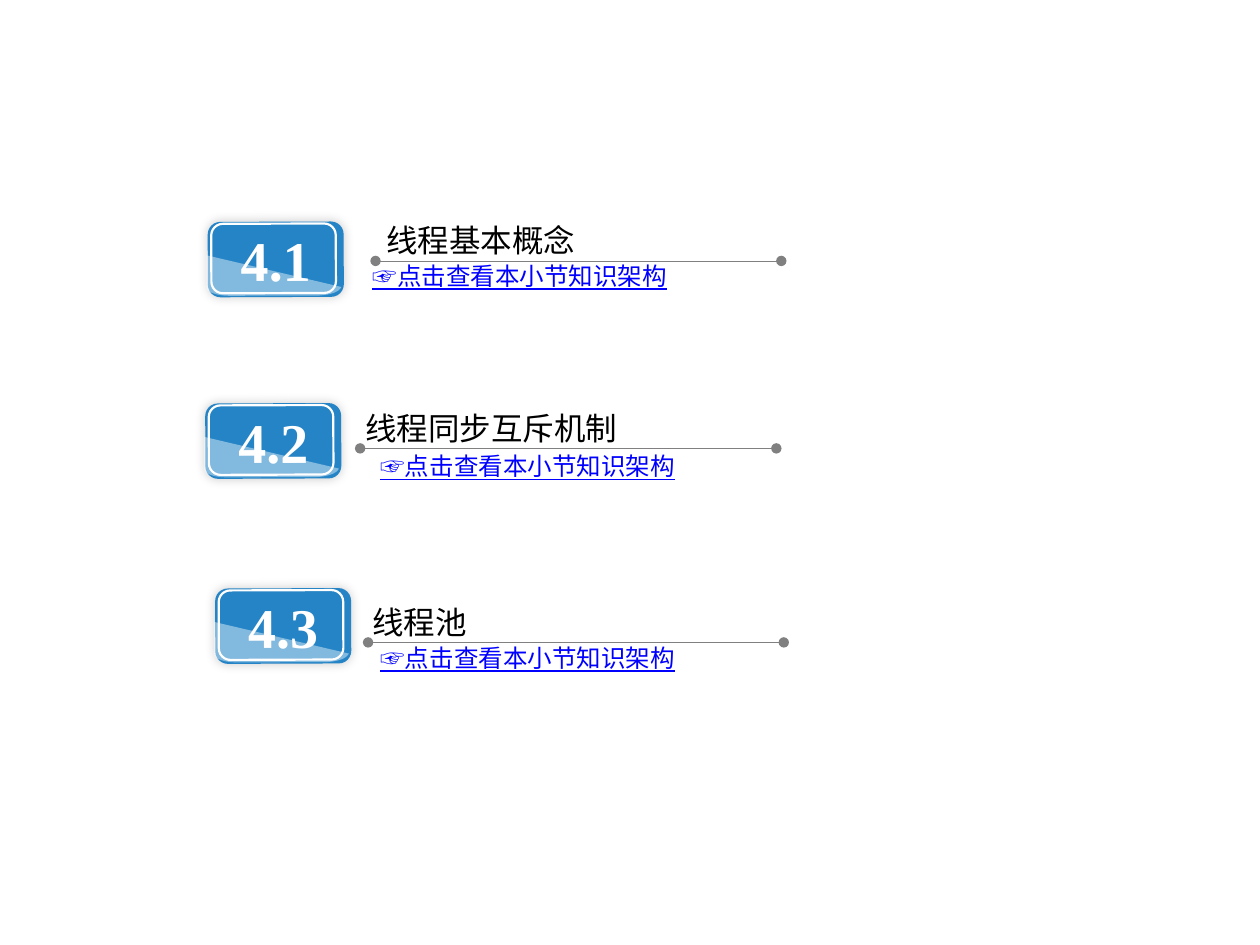
from pptx import Presentation
from pptx.dml.color import RGBColor
from pptx.enum.dml import MSO_LINE
from pptx.enum.shapes import MSO_CONNECTOR, MSO_SHAPE
from pptx.enum.text import MSO_ANCHOR, MSO_AUTO_SIZE, PP_ALIGN
from pptx.oxml import parse_xml
from pptx.oxml.ns import nsdecls, qn
from pptx.util import Cm, Pt

ROUND_RECT = MSO_SHAPE.ROUNDED_RECTANGLE
STRAIGHT = MSO_CONNECTOR.STRAIGHT
DOTTED = MSO_LINE.ROUND_DOT
MIDDLE = MSO_ANCHOR.MIDDLE
CENTER, LEFT = PP_ALIGN.CENTER, PP_ALIGN.LEFT
FIT_SHAPE = MSO_AUTO_SIZE.SHAPE_TO_FIT_TEXT

COLORS = {"tile": "2484C6", "white": "FFFFFF", "rule": "808080",
          "text": "000000", "link": "0000FF"}
CJK, SERIF = "Noto Sans CJK SC", "Times New Roman"
LINK_TEXT = "☞点击查看本小节知识架构"

# Positions in cm: tile, heading and link as (left, top), rule as (left, right, y)
SECTIONS = [
    {"number": "4.1", "title": "线程基本概念", "tile": (4.19, 4.47),
     "heading": (7.54, 4.34), "rule": (7.57, 15.75, 5.26), "link": (7.26, 5.13)},
    {"number": "4.2", "title": "线程同步互斥机制", "tile": (4.14, 8.13),
     "heading": (7.11, 8.13), "rule": (7.26, 15.65, 9.04), "link": (7.42, 8.97)},
    {"number": "4.3", "title": "线程池", "tile": (4.34, 11.86),
     "heading": (7.26, 12.04), "rule": (7.42, 15.8, 12.95), "link": (7.42, 12.83)},
]
TILE_W, TILE_H, TILT = 2.74, 1.52, -0.2
GLOSS_CURVES = [  # rounded bottom corners of the gloss, as Bezier points
    [(2.72, 0.65), (2.69, 0.74), (2.51, 0.81), (2.28, 0.82)],
    [(0.46, 0.82), (0.2, 0.82), (0, 0.74), (0, 0.64)],
]


def rgb(name):
    return RGBColor.from_string(COLORS[name])


def write(tf, text, size, font, color, bold=None, underline=None, align=LEFT):
    p = tf.paragraphs[0]
    p.alignment = align
    r = p.add_run()
    r.text = text
    f = r.font
    f.size, f.name, f.bold, f.underline = Pt(size), font, bold, underline
    f.color.rgb = rgb(color)
    f._element.find(qn("a:latin")).addnext(
        parse_xml(f'<a:ea {nsdecls("a")} typeface="{font}"/>'))


def add_text(s, pos, width, height, text, wrap, **fmt):
    tf = s.shapes.add_textbox(*map(Cm, (*pos, width, height))).text_frame
    tf.word_wrap = wrap
    tf.auto_size = FIT_SHAPE
    write(tf, text, font=CJK, **fmt)


def add_rounded(s, x, y, w, h):
    sp = s.shapes.add_shape(ROUND_RECT, Cm(x), Cm(y), Cm(w), Cm(h))
    sp.rotation = TILT
    sp.shadow.inherit = False
    return sp


def bezier(points, steps=8):
    for i in range(steps + 1):
        t = i / steps
        weights = ((1 - t) ** 3, 3 * t * (1 - t) ** 2, 3 * t * t * (1 - t), t ** 3)
        yield tuple(sum(w * p[axis] for w, p in zip(weights, points))
                    for axis in (0, 1))


def add_tile(s, x, y, number):
    # Blue tile with a soft shadow
    sp = add_rounded(s, x, y, TILE_W, TILE_H)
    sp.fill.solid()
    sp.fill.fore_color.rgb = rgb("tile")
    sp.line.fill.background()
    sp._element.spPr.find(qn("a:effectLst")).append(parse_xml(
        f'<a:outerShdw {nsdecls("a")} blurRad="76200" dist="0" dir="13500000">'
        '<a:srgbClr val="000000"><a:alpha val="20000"/></a:srgbClr></a:outerShdw>'))
    tf = sp.text_frame
    tf.vertical_anchor = MIDDLE
    write(tf, number, 32, SERIF, "white", bold=True, align=CENTER)

    # White inner outline
    sp = add_rounded(s, x + 0.07, y + 0.04, 2.51, 1.4)
    sp.fill.background()
    sp.line.color.rgb = rgb("white")
    sp.line.width = Pt(1.25)

    # Translucent gloss
    points = [(Cm(px), Cm(py)) for curve in GLOSS_CURVES for px, py in bezier(curve)]
    builder = s.shapes.build_freeform(0, 0)
    builder.add_line_segments(points, close=True)
    sp = builder.convert_to_shape(Cm(x - 0.03), Cm(y + 0.67))
    sp.rotation = TILT
    sp.shadow.inherit = False
    sp.line.fill.background()
    sp.fill.solid()
    sp.fill.fore_color.rgb = rgb("white")
    sp._element.spPr.find(".//" + qn("a:srgbClr")).append(
        parse_xml(f'<a:alpha {nsdecls("a")} val="43000"/>'))


def add_rule(s, left, right, y):
    cn = s.shapes.add_connector(STRAIGHT, Cm(left), Cm(y), Cm(right), Cm(y))
    cn.line.color.rgb = rgb("rule")
    cn.line.width = Pt(0.25)
    cn.line.dash_style = DOTTED
    ln = cn.line._get_or_add_ln()
    for end in ("headEnd", "tailEnd"):
        ln.append(parse_xml(f'<a:{end} {nsdecls("a")} type="oval"/>'))
    cn._element.spPr.append(parse_xml(f'<a:effectLst {nsdecls("a")}/>'))


def main():
    prs = Presentation()
    prs.slide_width, prs.slide_height = Cm(25.4), Cm(19.05)
    s = prs.slides.add_slide(prs.slide_layouts[6])
    for section in SECTIONS:
        title = section["title"]
        add_rule(s, *section["rule"])
        add_text(s, section["heading"], 0.51 + 0.64 * len(title), 1.02, title,
                 wrap=False, size=18, color="text")
        add_tile(s, *section["tile"], section["number"])
        add_text(s, section["link"], 6.53, 0.86, LINK_TEXT,
                 wrap=True, size=14, color="link", underline=True)
    prs.save("out.pptx")


if __name__ == "__main__":
    main()
